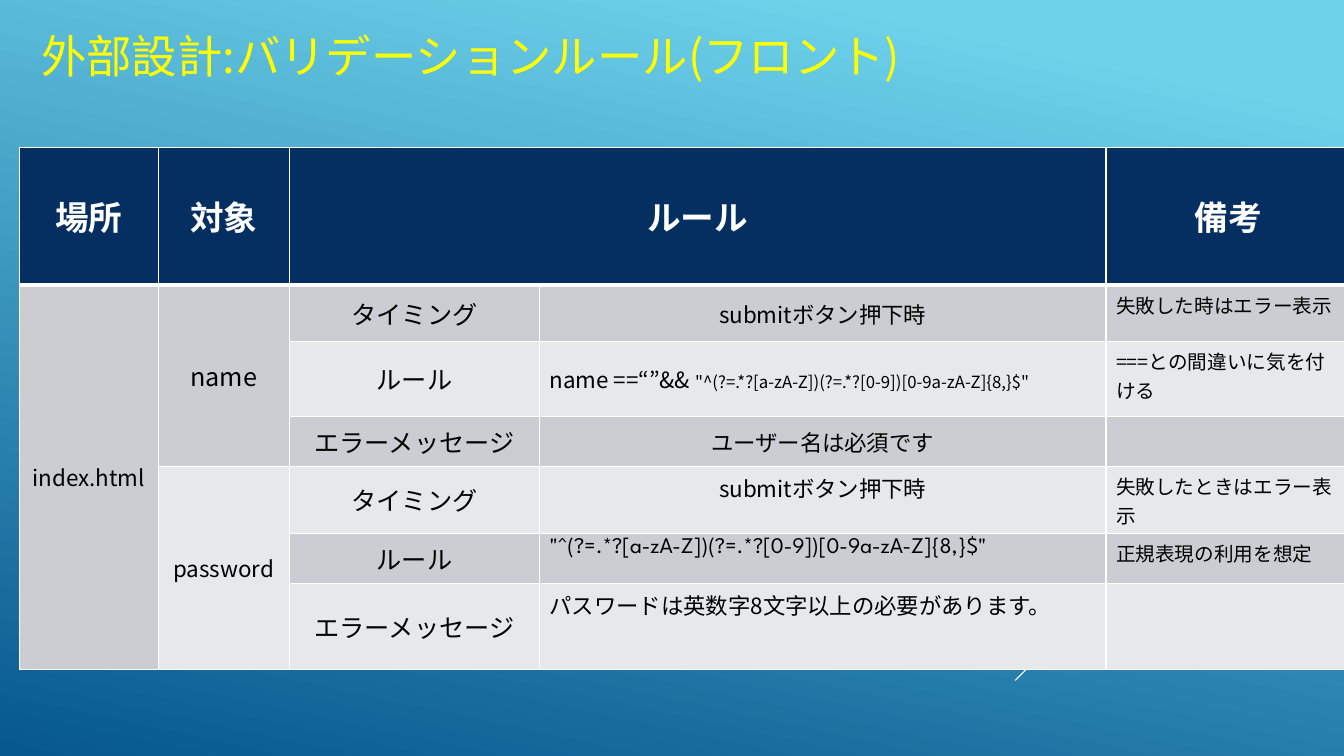
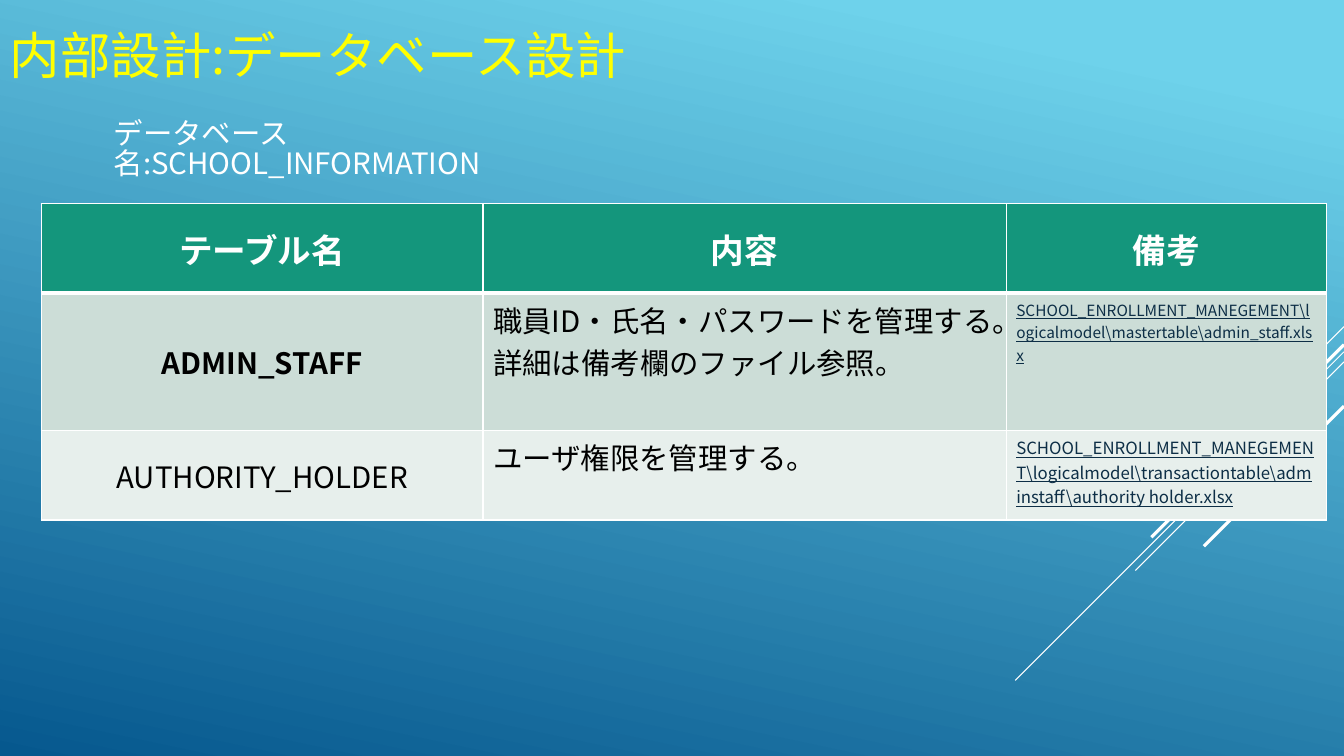
import pptx
import pptx.dml.color
import pptx.enum.shapes
import pptx.enum.text
import pptx.oxml
import pptx.oxml.ns
import pptx.util

ALIGN = pptx.enum.text.PP_ALIGN
ANCHOR = pptx.enum.text.MSO_ANCHOR
W, H = 13.33, 7.5
FONT, CODE_FONT = "Noto Sans CJK JP", "League Spartan"
WHITE, BLACK, YELLOW, LINK = "FFFFFF", "000000", "FFFF00", "0D2E46"
SKY, DEEP = "6ED2EB", "06588E"
NAVY_THEME = ("052F61", "CCCDD2", "E7E8EA")  # header, odd rows, even rows
GREEN_THEME = ("14967C", "CCDDD7", "E7EFEC")
# Diagonals leaving the right edge: start height, run, line width
RAYS = [(3.24, 1, 0.75), (3.49, 3.26, 0.75), (3.59, 2.07, 0.75),
        (3.42, 1.91, 2.25), (4.03, 1.39, 2.25)]


def rgb(value):
    return pptx.dml.color.RGBColor.from_string(value)


def inches(*values):
    return [pptx.util.Inches(v) for v in values]


def add_run(p, text, size=18, color=BLACK, font=FONT, bold=False, underline=False):
    r = p.add_run()
    r.text = text
    f = r.font
    f.size, f.bold, f.underline, f.name = pptx.util.Pt(size), bold, underline, font
    f.color.rgb = rgb(color)
    ea = pptx.oxml.parse_xml(
        f'<a:ea {pptx.oxml.ns.nsdecls("a")} typeface="{font}"/>')
    f._element.find(pptx.oxml.ns.qn("a:latin")).addnext(ea)


def add_text(s, text, x, y, w, h, anchor=ANCHOR.TOP, spacing=0.9, **fmt):
    tf = s.shapes.add_textbox(*inches(x, y, w, h)).text_frame
    tf.word_wrap, tf.vertical_anchor = True, anchor
    p = tf.paragraphs[0]
    p.line_spacing = spacing
    add_run(p, text, **fmt)


def add_ray(s, y, run, width):
    line = s.shapes.add_connector(pptx.enum.shapes.MSO_CONNECTOR.STRAIGHT,
                                  *inches(W, y, W - run, y + run))
    line.line.color.rgb = rgb(WHITE)
    line.line.width = pptx.util.Pt(width)
    line._element.spPr.append(
        pptx.oxml.parse_xml(f'<a:effectLst {pptx.oxml.ns.nsdecls("a")}/>'))


def add_slide(prs, title, box, size):
    """Add a slide with the shared gradient, rays and title style."""
    s = prs.slides.add_slide(prs.slide_layouts[6])
    fill = s.background.fill
    fill.gradient()
    fill.gradient_angle = 360 - 102
    for stop, position, color in zip(fill.gradient_stops, (0.1, 1), (SKY, DEEP)):
        stop.position, stop.color.rgb = position, rgb(color)
    for ray in RAYS:
        add_ray(s, *ray)
    add_text(s, title, *box, anchor=ANCHOR.MIDDLE, size=size, color=YELLOW)
    return s


def set_borders(cell, **widths):
    """Draw white borders; widths are points by side: L, R, T, B."""
    tcPr = cell._tc.get_or_add_tcPr()
    for i, (side, width) in enumerate(widths.items()):
        tcPr.insert(i, pptx.oxml.parse_xml(
            f'<a:ln{side} {pptx.oxml.ns.nsdecls("a")} w="{pptx.util.Pt(width)}">'
            f'<a:solidFill><a:srgbClr val="{WHITE}"/></a:solidFill></a:ln{side}>'))


def item(*paragraphs, center=True, middle=True, **fmt):
    """Describe a cell; a paragraph is a string or a list of (text, size) runs."""
    return paragraphs, center, middle, fmt


def note(*paragraphs, **fmt):
    return item(*paragraphs, center=False, middle=False, **fmt)


def heading(text):
    return item(text, size=24, color=WHITE, bold=True)


def fill_cell(cell, paragraphs, center, middle, fmt):
    cell.vertical_anchor = ANCHOR.MIDDLE if middle else ANCHOR.TOP
    tf = cell.text_frame
    for i, content in enumerate(paragraphs):
        p = tf.add_paragraph() if i else tf.paragraphs[0]
        p.alignment = ALIGN.CENTER if center else ALIGN.LEFT
        if isinstance(content, str):
            add_run(p, content, **fmt)
        else:
            for text, size in content:
                add_run(p, text, size=size, **fmt)


def add_table(s, x, y, cols, rows, theme, grid, merges=()):
    header, odd, even = theme
    table = s.shapes.add_table(len(rows), len(cols),
                               *inches(x, y, sum(cols), sum(rows))).table
    for col, width in zip(table.columns, inches(*cols)):
        col.width = width
    for row, height in zip(table.rows, inches(*rows)):
        row.height = height
    for top, left, bottom, right in merges:
        table.cell(top, left).merge(table.cell(bottom, right))
    for i, line in enumerate(grid):
        for j, content in enumerate(line):
            cell = table.cell(i, j)
            cell.fill.solid()
            cell.fill.fore_color.rgb = rgb(header if i == 0 else odd if i % 2 else even)
            set_borders(cell, L=1, R=1, T=3 if i == 1 else 1, B=1 if i else 3)
            if content:
                fill_cell(cell, *content)


def validation_slide(prs):
    s = add_slide(prs, "外部設計:バリデーションルール(フロント)", (0.31, 0.21, 9.67, 0.75), 32.4)
    pattern = '"^(?=.*?[a-zA-Z])(?=.*?[0-9])[0-9a-zA-Z]{8,}$"'
    timing, rule, error = (item(t) for t in ("タイミング", "ルール", "エラーメッセージ"))
    submit = "submitボタン押下時"
    grid = [
        [heading("場所"), heading("対象"), heading("ルール"), None, heading("備考")],
        [item("index.html", size=16), item("name"), timing, item(submit, size=16),
         note("失敗した時はエラー表示", size=14)],
        [None, None, rule, item([("name ==“”&& ", 16), (pattern, 12)], center=False),
         note("===との間違いに気を付ける", size=14)],
        [None, None, error, item("ユーザー名は必須です", size=16), None],
        [None, item("password", size=16), timing, item(submit, middle=False, size=16),
         note("失敗したときはエラー表示", size=14)],
        [None, None, rule, note(pattern, size=16, font=CODE_FONT),
         note("正規表現の利用を想定", size=14)],
        [None, None, error,
         note("パスワードは英数字8文字以上の必要があります。", size=16), None],
    ]
    add_table(s, 0.19, 1.46, [1.38, 1.3, 2.48, 5.62, 2.43],
              [1.37, 0.56, 0.74, 0.5, 0.66, 0.5, 0.85], NAVY_THEME, grid,
              merges=[(0, 2, 0, 3), (1, 0, 6, 0), (1, 1, 3, 1), (4, 1, 6, 1)])


def database_slide(prs):
    s = add_slide(prs, "内部設計:データベース設計", (0, 0, 7.17, 1.15), 36)
    folder = "SCHOOL_ENROLLMENT_MANEGEMENT\\logicalmodel\\"
    link = {"color": LINK, "underline": True}
    grid = [
        [heading("テーブル名"), heading("内容"), heading("備考")],
        [item("ADMIN_STAFF", size=21, bold=True),
         note("職員ID・氏名・パスワードを管理する。", "詳細は備考欄のファイル参照。", size=21),
         note(folder + "mastertable\\admin_staff.xlsx", size=11, **link)],
        [item("AUTHORITY_HOLDER", size=21),
         note("ユーザ権限を管理する。", size=21),
         note(folder + "transactiontable\\adminstaff\\authority holder.xlsx",
              size=12, **link)],
    ]
    add_table(s, 0.41, 2.02, [4.38, 5.19, 3.18], [0.89, 1.36, 0.89], GREEN_THEME, grid)
    add_text(s, "データベース名:SCHOOL_INFORMATION", 1.03, 1.15, 5.06, 0.45,
             spacing=0.85, size=21, color=WHITE)


def main():
    prs = pptx.Presentation()
    prs.slide_width, prs.slide_height = inches(W, H)
    validation_slide(prs)
    database_slide(prs)
    prs.save("out.pptx")


if __name__ == "__main__":
    main()
